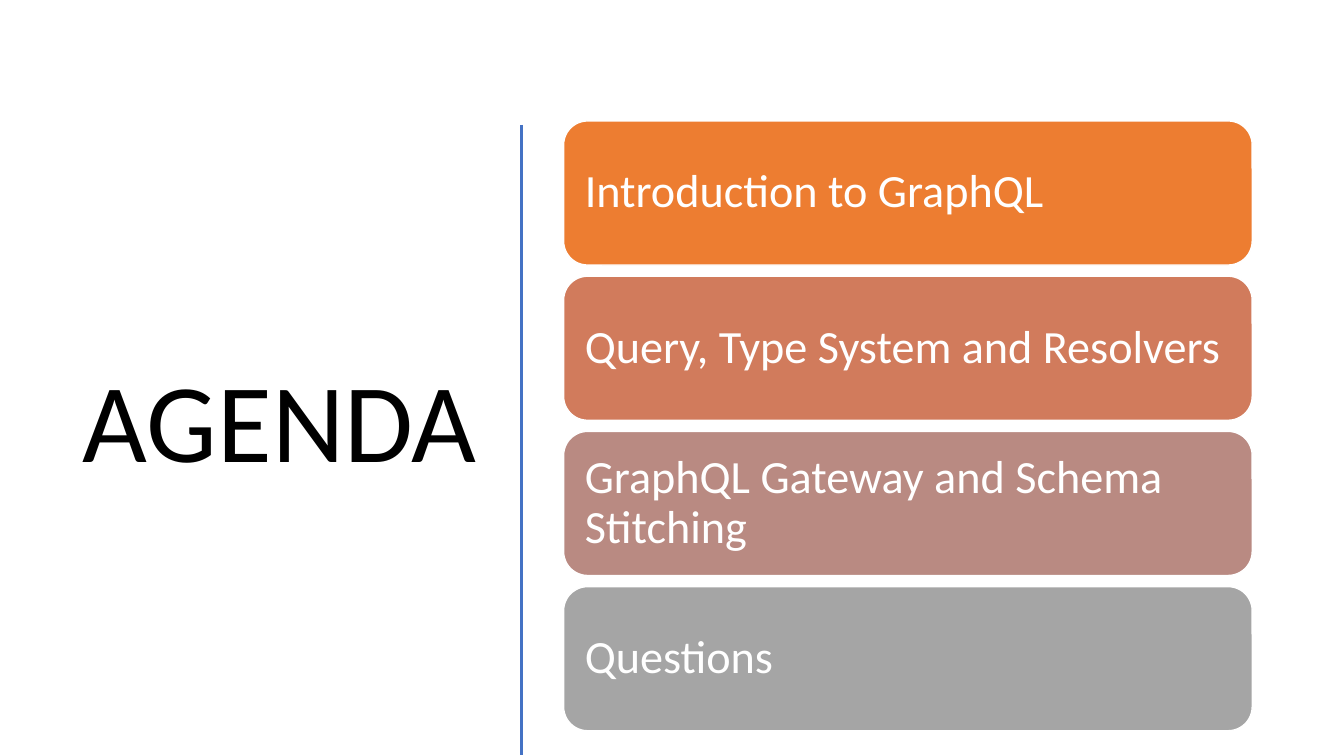
from dataclasses import dataclass

from lxml import etree
from pptx import Presentation
from pptx.dml.color import RGBColor
from pptx.enum.shapes import MSO_CONNECTOR, MSO_SHAPE
from pptx.enum.text import MSO_ANCHOR, MSO_AUTO_SIZE, PP_ALIGN
from pptx.oxml.ns import qn
from pptx.util import Inches, Pt

ROUND = MSO_SHAPE.ROUNDED_RECTANGLE
STRAIGHT = MSO_CONNECTOR.STRAIGHT
MIDDLE = MSO_ANCHOR.MIDDLE
NO_FIT = MSO_AUTO_SIZE.NONE
LEFT, RIGHT = PP_ALIGN.LEFT, PP_ALIGN.RIGHT


@dataclass(frozen=True)
class Theme:
    font: str = "Calibri"
    title: int = 80
    topic: int = 33
    black: str = "000000"
    white: str = "FFFFFF"
    rule: str = "4472C4"


THEME = Theme()
TOPICS = [
    ("Introduction to GraphQL", "ED7D31"),
    ("Query, Type System and Resolvers", "D17B5C"),
    ("GraphQL Gateway and Schema Stitching", "B98A82"),
    ("Questions", "A5A5A5"),
]


def color(code):
    return RGBColor.from_string(code)


def write(frame, text, size, code, align):
    """Fill a text frame with one vertically centred paragraph."""
    frame.text = text
    frame.word_wrap = True
    frame.auto_size = NO_FIT
    frame.vertical_anchor = MIDDLE
    para = frame.paragraphs[0]
    para.alignment = align
    para.line_spacing = 0.9
    font = para.runs[0].font
    font.name, font.size = THEME.font, Pt(size)
    font.color.rgb = color(code)


def add_title(slide, box, text):
    title = slide.shapes.title
    title.left, title.top, title.width, title.height = map(Inches, box)
    write(title.text_frame, text, THEME.title, THEME.black, RIGHT)


def add_rule(slide, box):
    left, top, width, height = box
    ends = map(Inches, (left, top, left + width, top + height))
    rule = slide.shapes.add_connector(STRAIGHT, *ends)
    rule.line.color.rgb = color(THEME.rule)
    rule.line.width = Pt(2)
    # Empty effect list: no shadow
    etree.SubElement(rule._element.spPr, qn("a:effectLst"))


def add_topics(slide, box, topics, gap):
    """Stack equal cards down the box."""
    left, top, width, height = box
    step = (height + gap) / len(topics)
    for row, (text, fill) in enumerate(topics):
        place = map(Inches, (left, top + row * step, width, step - gap))
        card = slide.shapes.add_shape(ROUND, *place)
        card.shadow.inherit = False
        card.fill.solid()
        card.fill.fore_color.rgb = color(fill)
        card.line.color.rgb = color(THEME.white)
        card.line.width = Pt(1)
        frame = card.text_frame
        frame.margin_left = frame.margin_right = Inches(0.14)
        frame.margin_top = frame.margin_bottom = Inches(0.14)
        write(frame, text, THEME.topic, THEME.white, LEFT)


def main():
    deck = Presentation()
    deck.slide_width, deck.slide_height = Inches(13.33), Inches(7.5)
    slide = deck.slides.add_slide(deck.slide_layouts[5])

    # Heading, divider and topic cards, left to right
    add_title(slide, (0.52, 1.17, 4.31, 6.11), "AGENDA")
    add_rule(slide, (5.17, 1.24, 0, 6.25))
    add_topics(slide, (5.59, 1.2, 6.83, 6.05), TOPICS, gap=0.11)

    deck.save("out.pptx")


if __name__ == "__main__":
    main()
